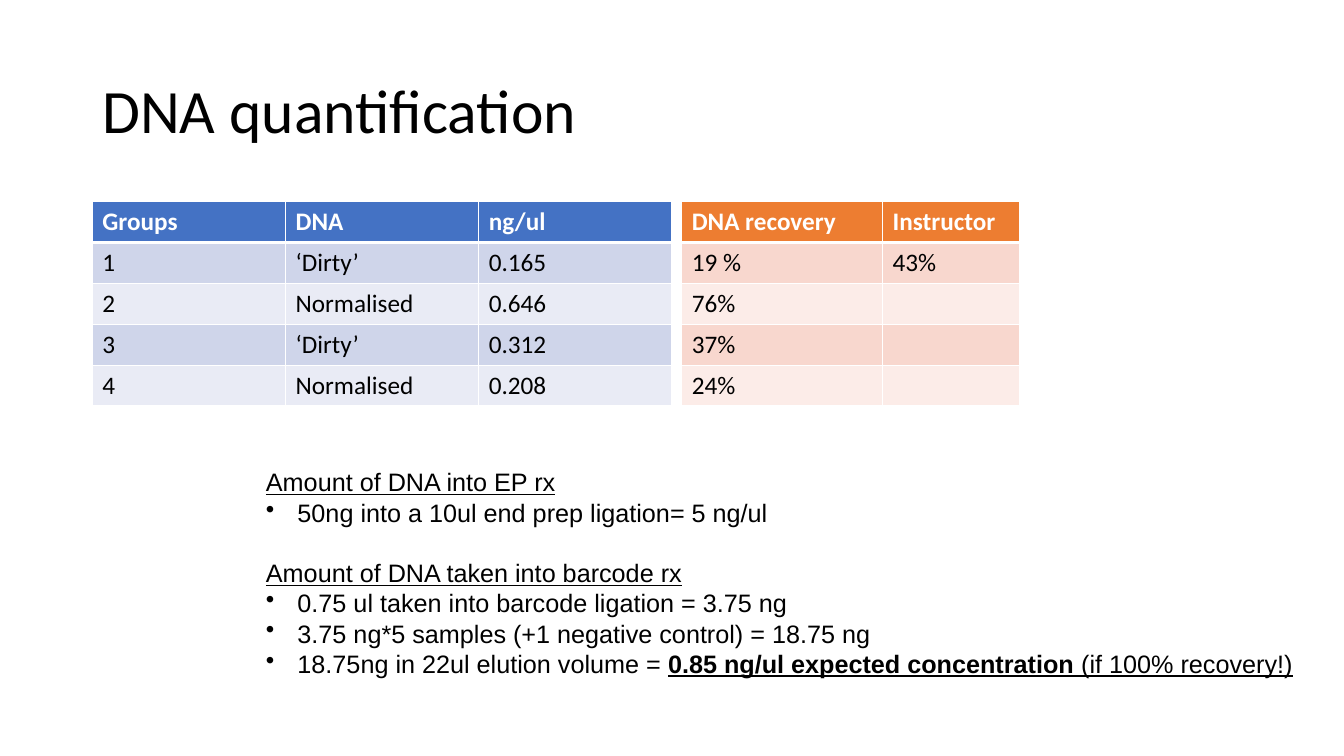
import pptx
import pptx.util
import pptx.dml.color
import pptx.enum.text
import pptx.oxml.ns
from lxml import etree

Pt = pptx.util.Pt
RGB = pptx.dml.color.RGBColor
qn = pptx.oxml.ns.qn
WHITE, BLACK = RGB(255, 255, 255), RGB(0, 0, 0)
BLUE, BLUE_MID, BLUE_PALE = RGB(0x44, 0x72, 0xC4), RGB(0xCF, 0xD5, 0xEA), RGB(0xE9, 0xEB, 0xF5)
ORANGE, ORANGE_MID, ORANGE_PALE = RGB(0xED, 0x7D, 0x31), RGB(0xF8, 0xD7, 0xCE), RGB(0xFC, 0xEC, 0xE8)

# Content
TITLE = "DNA quantification"
TABLES = [
    dict(left=66, widths=[138, 138, 138], fills=(BLUE, BLUE_MID, BLUE_PALE), rows=[
        ("Groups", "DNA", "ng/ul"),
        ("1", "‘Dirty’", "0.165"),
        ("2", "Normalised", "0.646"),
        ("3", "‘Dirty’", "0.312"),
        ("4", "Normalised", "0.208")]),
    dict(left=487, widths=[143.5, 98], fills=(ORANGE, ORANGE_MID, ORANGE_PALE), rows=[
        ("DNA recovery", "Instructor"),
        ("19 %", "43%"),
        ("76%", ""),
        ("37%", ""),
        ("24%", "")]),
]
# Each section: heading, then bullets made of (text, bold, underline) runs
SECTIONS = [
    ("Amount of DNA into EP rx", [
        [("50ng into a 10ul end prep ligation= 5 ng/ul", False, False)]]),
    ("Amount of DNA taken into barcode rx", [
        [("0.75 ul taken into barcode ligation = 3.75 ng", False, False)],
        [("3.75 ng*5 samples (+1 negative control) = 18.75 ng", False, False)],
        [("18.75ng in 22ul elution volume = ", False, False),
         ("0.85 ng/ul expected concentration ", True, True),
         ("(if 100% recovery!)", False, True)]]),
]
TABLE_TOP, ROW_HEIGHT = 144, 29.2
INDENT, SECTION_GAP = 22.5, 21.6


def set_font(p, name, size, color, bold=False):
    p.font.name, p.font.size, p.font.bold = name, Pt(size), bold
    p.font.color.rgb = color


def add_text_box(s, left, top, width, height, wrap):
    tf = s.shapes.add_textbox(Pt(left), Pt(top), Pt(width), Pt(height)).text_frame
    tf.word_wrap = wrap
    return tf


def set_borders(cell, bottom):
    tcPr = cell._tc.get_or_add_tcPr()
    for i, (side, width) in enumerate([("L", 1), ("R", 1), ("T", 1), ("B", bottom)]):
        ln = etree.Element(qn("a:ln" + side), w=str(Pt(width)))
        fill = etree.SubElement(ln, qn("a:solidFill"))
        etree.SubElement(fill, qn("a:srgbClr"), val=str(WHITE))
        tcPr.insert(i, ln)


def add_table(s, left, widths, fills, rows):
    table = s.shapes.add_table(len(rows), len(widths), Pt(left), Pt(TABLE_TOP),
                               Pt(sum(widths)), Pt(ROW_HEIGHT * len(rows))).table
    for column, width in zip(table.columns, widths):
        column.width = Pt(width)
    for i, row in enumerate(rows):
        table.rows[i].height = Pt(ROW_HEIGHT)
        header = i == 0
        for j, text in enumerate(row):
            cell = table.cell(i, j)
            cell.text = text
            cell.fill.solid()
            cell.fill.fore_color.rgb = fills[0] if header else fills[2 - i % 2]
            set_font(cell.text_frame.paragraphs[0], "Calibri", 18,
                     WHITE if header else BLACK, header)
            set_borders(cell, 3 if header else 1)


def add_bullet(p):
    pPr = p._p.get_or_add_pPr()
    pPr.set("marL", str(Pt(INDENT)))
    pPr.set("indent", str(-Pt(INDENT)))
    bullet = etree.Element(qn("a:buChar"), char="•")
    pPr.insert_element_before(bullet, "a:tabLst", "a:defRPr", "a:extLst")


def main():
    prs = pptx.Presentation()
    prs.slide_width, prs.slide_height = Pt(960), Pt(540)
    s = prs.slides.add_slide(prs.slide_layouts[6])

    # Title
    tf = add_text_box(s, 66, 28.75, 828, 104.4, True)
    tf.vertical_anchor = pptx.enum.text.MSO_ANCHOR.MIDDLE
    p = tf.paragraphs[0]
    p.text, p.line_spacing = TITLE, 0.9
    set_font(p, "Calibri", 44, BLACK)

    # Tables
    for table in TABLES:
        add_table(s, **table)

    # Calculation notes
    tf = add_text_box(s, 182.9, 329.8, 758, 181.4, False)
    for i, (heading, bullets) in enumerate(SECTIONS):
        p = tf.add_paragraph() if i else tf.paragraphs[0]
        p.text = heading
        p.space_before = Pt(SECTION_GAP if i else 0)
        set_font(p, "Arial", 18, BLACK)
        p.font.underline = True
        for runs in bullets:
            p = tf.add_paragraph()
            set_font(p, "Arial", 18, BLACK)
            add_bullet(p)
            for text, bold, underline in runs:
                r = p.add_run()
                r.text = text
                r.font.bold, r.font.underline = bold, underline

    prs.save("out.pptx")


if __name__ == "__main__":
    main()
